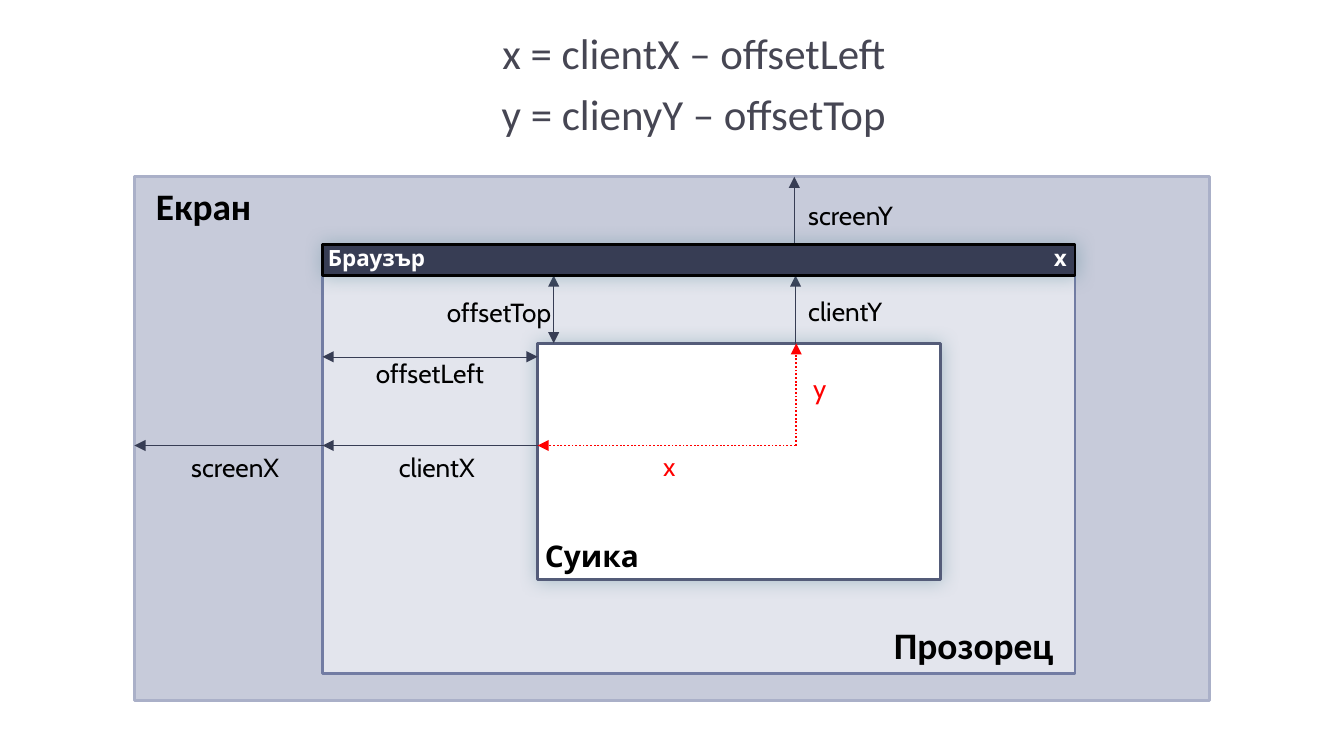
from pptx import Presentation
from pptx.dml.color import RGBColor
from pptx.enum.dml import MSO_LINE
from pptx.enum.shapes import MSO_CONNECTOR, MSO_SHAPE
from pptx.enum.text import MSO_ANCHOR, PP_ALIGN
from pptx.oxml.ns import qn
from pptx.util import Emu, Pt
from lxml import etree

PX = 4572  # 200 px to the inch
RECT, STRAIGHT, DOTS = MSO_SHAPE.RECTANGLE, MSO_CONNECTOR.STRAIGHT, MSO_LINE.ROUND_DOT
LEFT, CENTER, RIGHT = PP_ALIGN.LEFT, PP_ALIGN.CENTER, PP_ALIGN.RIGHT
TOP, MIDDLE, BOTTOM = MSO_ANCHOR.TOP, MSO_ANCHOR.MIDDLE, MSO_ANCHOR.BOTTOM

COLORS = {
    "black": "000000", "white": "FFFFFF", "red": "FF0000",
    "formula": "464653", "navy": "373D54", "shadow": "528693",
    "screen": "C7CBDA", "screen_edge": "AAB0C8",
    "window": "E3E5ED", "window_edge": "727CA3", "canvas_edge": "545C79",
}


def px(n):
    return Emu(n * PX)


def rgb(name):
    return RGBColor.from_string(COLORS[name])


class Diagram:
    body_font, label_font, mono_font = "Calibri", "Cabin", "Noto Sans Mono"

    def __init__(self, slide):
        self.s = slide

    def run(self, p, text, font, size, color="black", bold=False):
        r = p.add_run()
        r.text = text
        r.font.name, r.font.size, r.font.bold = font, Pt(size), bold
        r.font.color.rgb = rgb(color)

    def frame(self, sp, anchor, align, margins=(20, 10, 20, 10), wrap=True):
        tf = sp.text_frame
        tf.word_wrap, tf.vertical_anchor = wrap, anchor
        (tf.margin_left, tf.margin_top,
         tf.margin_right, tf.margin_bottom) = map(px, margins)
        p = tf.paragraphs[0]
        p.alignment = align
        return p

    def panel(self, box, fill, edge, glow=False):
        sp = self.s.shapes.add_shape(RECT, *map(px, box))
        sp.shadow.inherit = False
        sp.fill.solid()
        sp.fill.fore_color.rgb = rgb(fill)
        sp.line.color.rgb = rgb(edge)
        sp.line.width = Pt(1.5)
        if glow:
            effects = sp._element.spPr.find(qn("a:effectLst"))
            shadow = etree.SubElement(effects, qn("a:outerShdw"), blurRad=str(Pt(10)),
                                      dist="0", dir="2700000", rotWithShape="0")
            color = etree.SubElement(shadow, qn("a:srgbClr"), val=COLORS["shadow"])
            etree.SubElement(color, qn("a:alpha"), val="40000")
        return sp

    def label(self, text, box, align=CENTER, color="black"):
        sp = self.s.shapes.add_textbox(*map(px, box))
        self.run(self.frame(sp, MIDDLE, align), text, self.label_font, 14, color)

    def formulas(self, lines, box):
        sp = self.s.shapes.add_textbox(*map(px, box))
        p = self.frame(sp, TOP, CENTER)
        for i, text in enumerate(lines):
            if i:
                p = sp.text_frame.add_paragraph()
                p.alignment, p.space_before = CENTER, Pt(5)
            self.run(p, text, self.body_font, 23, "formula")

    def arrow(self, start, end, color="navy", width=0.25, both=False):
        c = self.s.shapes.add_connector(STRAIGHT, *map(px, start + end))
        c.line.color.rgb = rgb(color)
        c.line.width, c.line.dash_style = Pt(width), DOTS
        ln = c.line._ln
        if both:
            etree.SubElement(ln, qn("a:headEnd"), type="triangle")
        etree.SubElement(ln, qn("a:tailEnd"), type="triangle")
        etree.SubElement(c._element.spPr, qn("a:effectLst"))


def main():
    prs = Presentation()
    prs.slide_width, prs.slide_height = px(2000), px(1125)
    d = Diagram(prs.slides.add_slide(prs.slide_layouts[6]))

    # Shared edges of the nested areas, and the pointer position
    screen_x, screen_y = 200, 263
    window_x, bar_y, window_y = 480, 364, 410
    canvas_x, canvas_y = 800, 511
    pointer_x, pointer_y = 1184, 663

    # Screen, window and canvas
    sp = d.panel((screen_x, screen_y, 1600, 780), "screen", "screen_edge")
    d.run(d.frame(sp, TOP, LEFT, (32, 10, 20, 10)), "Екран", d.body_font, 20, bold=True)
    sp = d.panel((window_x, window_y, 1120, 592), "window", "window_edge")
    d.run(d.frame(sp, BOTTOM, RIGHT, (20, 10, 32, 10)), "Прозорец", d.body_font, 20, bold=True)
    sp = d.panel((canvas_x, canvas_y, 600, 352), "white", "canvas_edge", glow=True)
    d.run(d.frame(sp, BOTTOM, LEFT, (11, 10, 0, 10), wrap=False),
          "Суика", d.label_font, 16, bold=True)

    # Horizontal distances
    d.arrow((canvas_x, pointer_y), (window_x, pointer_y))
    d.arrow((window_x, pointer_y), (screen_x, pointer_y))
    d.arrow((window_x, 531), (canvas_x, 531), both=True)
    d.label("clientX", (500, pointer_y, 300, 64))
    d.label("screenX", (220, pointer_y, 260, 64))
    d.label("offsetLeft", (500, 522, 280, 66))

    # Vertical distances
    d.arrow((824, canvas_y), (824, window_y), both=True)
    d.arrow((pointer_x, canvas_y), (pointer_x, window_y))
    d.arrow((1182, bar_y), (1182, screen_y))
    d.label("offsetTop", (578, 415, 262, 100), RIGHT)
    d.label("clientY", (1183, 413, 262, 100), LEFT)
    d.label("screenY", (1183, 284, 384, 72), LEFT)

    # Browser title bar
    sp = d.panel((window_x, bar_y, 1120, window_y - bar_y), "navy", "black", glow=True)
    p = d.frame(sp, TOP, LEFT, (8, 0, 0, 0))
    tabs = etree.SubElement(p._p.get_or_add_pPr(), qn("a:tabLst"))
    etree.SubElement(tabs, qn("a:tab"), pos=str(px(1080)), algn="l")
    d.run(p, "Браузър\t", d.label_font, 12, "white", bold=True)
    d.run(p, "x", d.mono_font, 12, "white", bold=True)

    # Pointer position inside the canvas
    d.arrow((1185, pointer_y), (1185, canvas_y), "red", 1)
    d.label("y", (1184, 548, 72, 60), color="red")
    d.label("x", (960, pointer_y, 72, 60), color="red")

    # Formulas
    d.formulas(["x = clientX – offsetLeft", "y = clienyY – offsetTop"], (100, 30, 1866, 1084))
    d.arrow((pointer_x, pointer_y), (canvas_x, pointer_y), "red", 1)

    prs.save("out.pptx")


if __name__ == "__main__":
    main()
